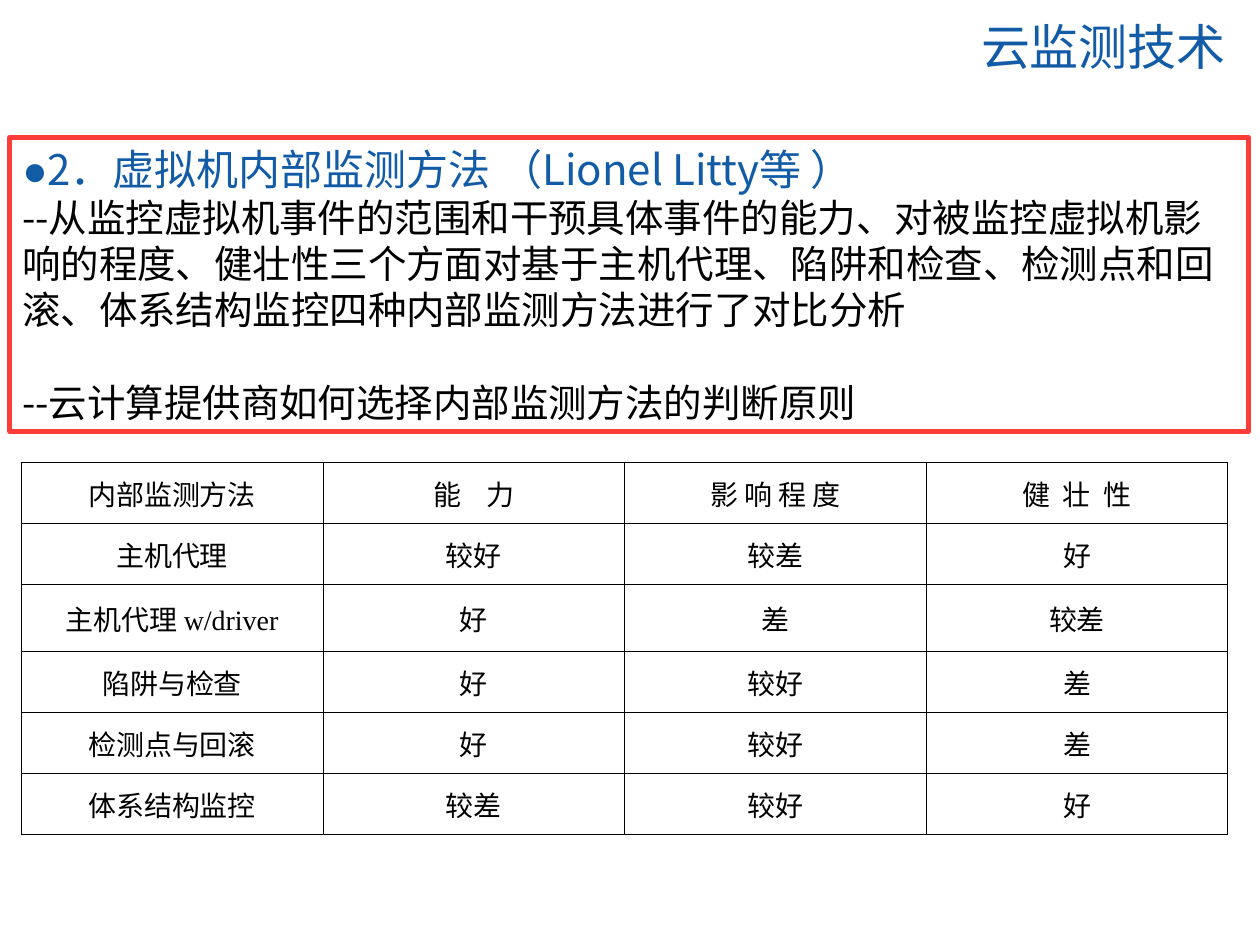
import pptx
import pptx.util
import pptx.dml.color
import pptx.enum.shapes
import pptx.enum.text
import pptx.oxml
from pptx.util import Cm

BLUE, RED, BLACK = "125CA7", "FE3D38", "000000"
CJK = "Noto Sans CJK SC"

# runs: text, size, font, colour
TITLE = [("云监测技术", 28, "Lato", BLUE), (" ", 37, "Lato", BLUE)]

# paragraphs: space before in points, runs
BODY = [
    (0, [("●", 24, "Arial", BLUE),
         ("2．虚拟机内部监测方法 （Lionel Litty等 ）", 24, CJK, BLUE)]),
    (0, [("--从监控虚拟机事件的范围和干预具体事件的能力、对被监控虚拟机影响的程度、"
          "健壮性三个方面对基于主机代理、陷阱和检查、检测点和回滚、"
          "体系结构监控四种内部监测方法进行了对比分析", 22, CJK, BLACK)]),
    (26.4, [("--云计算提供商如何选择内部监测方法的判断原则", 22, CJK, BLACK)]),
]

METHODS = [
    ("内部监测方法", "能    力", "影 响 程 度", "健  壮  性"),
    ("主机代理", "较好", "较差", "好"),
    ("主机代理 w/driver", "好", "差", "较差"),
    ("陷阱与检查", "好", "较好", "差"),
    ("检测点与回滚", "好", "较好", "差"),
    ("体系结构监控", "较差", "较好", "好"),
]
COL_WIDTH, ROW_HEIGHT, DRIVER_ROW_HEIGHT = 6.08, 1.23, 1.35
BOX = Cm(0.2), Cm(2.77), Cm(24.97), Cm(5.93)


def rgb(colour):
    return pptx.dml.color.RGBColor.from_string(colour)


def add_runs(p, runs):
    for text, size, font, colour in runs:
        r = p.add_run()
        r.text = text
        r.font.size = pptx.util.Pt(size)
        r.font.name = font
        r.font.color.rgb = rgb(colour)


def set_borders(cell, colour, width):
    tc_pr = cell._tc.get_or_add_tcPr()
    for i, side in enumerate(("lnL", "lnR", "lnT", "lnB")):
        tc_pr.insert(i, pptx.oxml.parse_xml(
            f'<a:{side} xmlns:a="http://schemas.openxmlformats.org/drawingml/2006/main"'
            f' w="{pptx.util.Pt(width)}"><a:solidFill><a:srgbClr val="{colour}"/>'
            f'</a:solidFill></a:{side}>'))


def add_title(s):
    sp = s.shapes.title
    sp.left, sp.top, sp.width, sp.height = Cm(1.7), Cm(0.2), Cm(23.3), Cm(1.42)
    tf = sp.text_frame
    tf.margin_left = tf.margin_right = tf.margin_top = tf.margin_bottom = 0
    tf.vertical_anchor = pptx.enum.text.MSO_ANCHOR.TOP
    p = tf.paragraphs[0]
    p.alignment = pptx.enum.text.PP_ALIGN.RIGHT
    p.line_spacing = 0.9
    add_runs(p, TITLE)


def add_summary(s):
    frame = s.shapes.add_shape(pptx.enum.shapes.MSO_SHAPE.RECTANGLE, *BOX)
    frame.shadow.inherit = False
    frame.fill.background()
    frame.line.color.rgb = rgb(RED)
    frame.line.width = pptx.util.Pt(2.75)

    tf = s.shapes.add_textbox(*BOX).text_frame
    tf.word_wrap = True
    for i, (space, runs) in enumerate(BODY):
        p = tf.add_paragraph() if i else tf.paragraphs[0]
        p.space_before = pptx.util.Pt(space)
        add_runs(p, runs)


def add_methods_table(s):
    rows, cols = len(METHODS), len(METHODS[0])
    table = s.shapes.add_table(rows, cols, Cm(0.43), Cm(9.32),
                               Cm(cols * COL_WIDTH), Cm(rows * ROW_HEIGHT)).table
    for col in table.columns:
        col.width = Cm(COL_WIDTH)
    for row, values in zip(table.rows, METHODS):
        row.height = Cm(DRIVER_ROW_HEIGHT if "driver" in values[0] else ROW_HEIGHT)
        for cell, value in zip(row.cells, values):
            cell.fill.background()
            cell.vertical_anchor = pptx.enum.text.MSO_ANCHOR.MIDDLE
            set_borders(cell, BLACK, 0.45)
            p = cell.text_frame.paragraphs[0]
            p.alignment = pptx.enum.text.PP_ALIGN.CENTER
            add_runs(p, [(value, 16, "Times New Roman", BLACK)])


def main():
    prs = pptx.Presentation()
    prs.slide_width, prs.slide_height = Cm(25.4), Cm(19.05)
    s = prs.slides.add_slide(prs.slide_layouts[5])
    add_title(s)
    add_summary(s)
    add_methods_table(s)
    prs.save("out.pptx")


if __name__ == "__main__":
    main()
